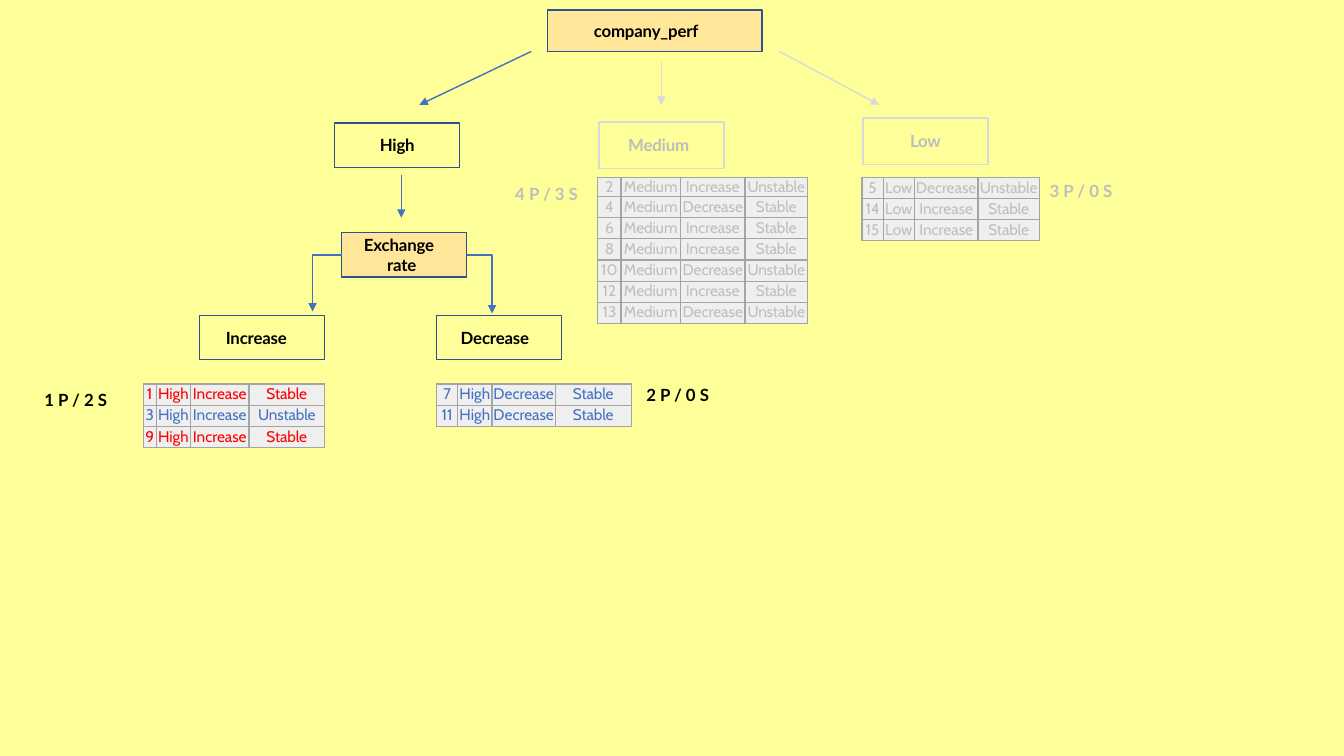
"""Draw the decision tree that splits company performance by exchange rate."""
from dataclasses import dataclass

from lxml.etree import SubElement
from pptx import Presentation
from pptx.dml.color import RGBColor
from pptx.enum.shapes import MSO_CONNECTOR, MSO_SHAPE
from pptx.enum.text import MSO_ANCHOR, PP_ALIGN
from pptx.oxml.ns import qn
from pptx.util import Inches, Pt


@dataclass(frozen=True)
class Theme:
    """Hold the colours, fonts and sizes of the slide."""
    page: str = "FFFF99"
    split: str = "FFE699"
    edge: str = "2E528F"
    pale: str = "D9D9D9"
    ink: str = "000000"
    faint: str = "BEBEBE"
    blue: str = "4471C4"
    red: str = "FF0000"
    cell: str = "EFEFEF"
    grid: str = "A4A4A4"
    head: str = "Lato"
    body: str = "Cabin"
    big: float = 12
    small: float = 11
    rule: float = 1
    tight: int = -10


def write(frame, text, *, font, size, color, bold=False, track=0,
          align=PP_ALIGN.CENTER, hang=0, line=None):
    """Put one formatted paragraph into a text frame."""
    frame.word_wrap = True
    para = frame.paragraphs[0]
    para.alignment = align
    if line:
        para.line_spacing = Pt(line)
    if hang:
        props = para._p.get_or_add_pPr()
        props.set("marL", str(Inches(hang)))
        props.set("indent", str(-Inches(hang)))
    run = para.add_run()
    run.text = text
    run.font.name = font
    run.font.size = Pt(size)
    run.font.bold = bold
    run.font.color.rgb = RGBColor.from_string(color)
    if track:
        run._r.get_or_add_rPr().set("spc", str(track))


class Board:
    """Draw tree parts on one slide in one theme."""

    def __init__(self, deck, theme):
        """Add a blank slide with the page colour."""
        self.theme = theme
        self.slide = deck.slides.add_slide(deck.slide_layouts[6])
        self.shapes = self.slide.shapes
        fill = self.slide.background.fill
        fill.solid()
        fill.fore_color.rgb = RGBColor.from_string(theme.page)

    def pad(self, frame, left=0, top=0, right=0):
        """Set the insets of a text frame."""
        frame.margin_left, frame.margin_top = Inches(left), Inches(top)
        frame.margin_right, frame.margin_bottom = Inches(right), 0

    def stroke(self, line, color):
        """Give a line its colour and width."""
        line.color.rgb = RGBColor.from_string(color)
        line.width = Pt(self.theme.rule)

    def node(self, text, x, y, w=1.24, h=0.44, *, fill=None, dim=False,
             left=None, right=0, hang=0):
        """Draw a box of the tree, centred unless a left inset is given."""
        look = self.theme
        box = self.shapes.add_shape(
            MSO_SHAPE.RECTANGLE, Inches(x), Inches(y), Inches(w), Inches(h))
        box.shadow.inherit = False
        if fill:
            box.fill.solid()
            box.fill.fore_color.rgb = RGBColor.from_string(fill)
        else:
            box.fill.background()
        self.stroke(box.line, look.pale if dim else look.edge)
        frame = box.text_frame
        self.pad(frame, left or 0, right=right)
        frame.vertical_anchor = MSO_ANCHOR.MIDDLE
        write(frame, text, font=look.head, size=look.big, bold=True,
              color=look.faint if dim else look.ink, track=look.tight, hang=hang,
              align=PP_ALIGN.CENTER if left is None else PP_ALIGN.LEFT)

    def count(self, text, x, y, dim=False):
        """Write a bold tally next to a table."""
        look = self.theme
        box = self.shapes.add_textbox(
            Inches(x), Inches(y), Inches(0.75), Inches(0.23))
        self.pad(box.text_frame, 0.01, 0.01)
        write(box.text_frame, text, font=look.head, size=look.big, bold=True,
              color=look.faint if dim else look.ink, align=PP_ALIGN.LEFT)

    def tip(self, line, color):
        """Colour a line and end it with an arrowhead."""
        self.stroke(line, color)
        SubElement(line._get_or_add_ln(), qn("a:tailEnd"), type="triangle")

    def arrow(self, start, end, color):
        """Draw a straight arrow."""
        link = self.shapes.add_connector(
            MSO_CONNECTOR.STRAIGHT, *map(Inches, start + end))
        self.tip(link.line, color)
        SubElement(link._element.spPr, qn("a:effectLst"))

    def bend(self, start, end, color):
        """Draw an arrow that runs sideways and then down."""
        points = [start, (end[0], start[1]), end]
        first, *rest = [(Inches(x), Inches(y)) for x, y in points]
        form = self.shapes.build_freeform(*first)
        form.add_line_segments(rest, close=False)
        link = form.convert_to_shape()
        link.shadow.inherit = False
        link.fill.background()
        self.tip(link.line, color)

    def table(self, x, y, widths, rows, inks, top=0.21):
        """Draw a table with one text colour for each row."""
        look = self.theme
        high = [top] + [0.21] * (len(rows) - 1)
        grid = self.shapes.add_table(
            len(rows), len(widths), Inches(x), Inches(y),
            Inches(sum(widths)), Inches(sum(high))).table
        grid.first_row = grid.horz_banding = False
        for col, width in zip(grid.columns, widths):
            col.width = Inches(width)
        for row, height, texts, ink in zip(grid.rows, high, rows, inks):
            row.height = Inches(height)
            for cell, text in zip(row.cells, texts):
                self.pad(cell)
                cell.vertical_anchor = MSO_ANCHOR.MIDDLE
                self.frame(cell)
                cell.fill.solid()
                cell.fill.fore_color.rgb = RGBColor.from_string(look.cell)
                write(cell.text_frame, text, font=look.body, size=look.small,
                      color=ink, line=12.8,
                      track=look.tight if text.endswith("table") else 0)

    def frame(self, cell):
        """Draw the four borders of a cell."""
        props = cell._tc.get_or_add_tcPr()
        for side in ("lnL", "lnR", "lnT", "lnB"):
            edge = SubElement(props, qn("a:" + side), w=str(Pt(self.theme.rule)))
            fill = SubElement(edge, qn("a:solidFill"))
            SubElement(fill, qn("a:srgbClr"), val=self.theme.grid)


def main():
    """Build the slide and save it."""
    deck = Presentation()
    deck.slide_width, deck.slide_height = Inches(13.33), Inches(7.5)
    look = Theme()
    board = Board(deck, look)

    board.node("company_perf", 5.43, 0.1, 2.13, 0.41, fill=look.split, left=0.46)
    board.node("High", 3.32, 1.22)
    board.node("Medium", 5.94, 1.21, h=0.46, dim=True, left=0.29)
    board.node("Low", 8.56, 1.17, h=0.46, dim=True)
    board.node("Exchange rate", 3.39, 2.31, fill=look.split,
               left=0.22, right=0.1, hang=0.23)
    board.node("Increase", 1.98, 3.13, left=0.26)
    board.node("Decrease", 4.33, 3.13, left=0.24)

    board.arrow((5.27, 0.51), (4.16, 1.04), look.blue)
    board.arrow((6.56, 0.62), (6.56, 1.04), look.pale)
    board.arrow((7.73, 0.51), (8.72, 1.04), look.pale)
    board.arrow((3.98, 1.74), (3.98, 2.16), look.blue)
    board.bend((3.39, 2.53), (3.1, 3.09), look.blue)
    board.bend((4.63, 2.53), (4.88, 3.11), look.blue)

    up, down, firm, weak = "Increase", "Decrease", "Stable", "Unstable"
    mid = [("2", up, weak), ("4", down, firm), ("6", up, firm), ("8", up, firm),
           ("10", down, weak), ("12", up, firm), ("13", down, weak)]
    board.table(5.93, 1.76, (0.23, 0.59, 0.64, 0.62),
                [(key, "Medium", rate, state) for key, rate, state in mid],
                [look.faint] * len(mid), top=0.19)
    low = [("5", "Low", down, weak), ("14", "Low", up, firm), ("15", "Low", up, firm)]
    board.table(8.55, 1.76, (0.21, 0.31, 0.63, 0.61), low, [look.faint] * len(low))
    rise = [("1", "High", up, firm), ("3", "High", up, weak), ("9", "High", up, firm)]
    board.table(1.42, 3.81, (0.13, 0.34, 0.58, 0.75), rise,
                [look.red, look.blue, look.red])
    fall = [("7", "High", down, firm), ("11", "High", down, firm)]
    board.table(4.33, 3.81, (0.21, 0.34, 0.63, 0.75), fall, [look.blue] * len(fall))

    board.count("4 P / 3 S", 5.1, 1.81, dim=True)
    board.count("3 P / 0 S", 10.4, 1.78, dim=True)
    board.count("1 P / 2 S", 0.43, 3.86)
    board.count("2 P / 0 S", 6.4, 3.81)
    deck.save("out.pptx")


if __name__ == "__main__":
    main()
